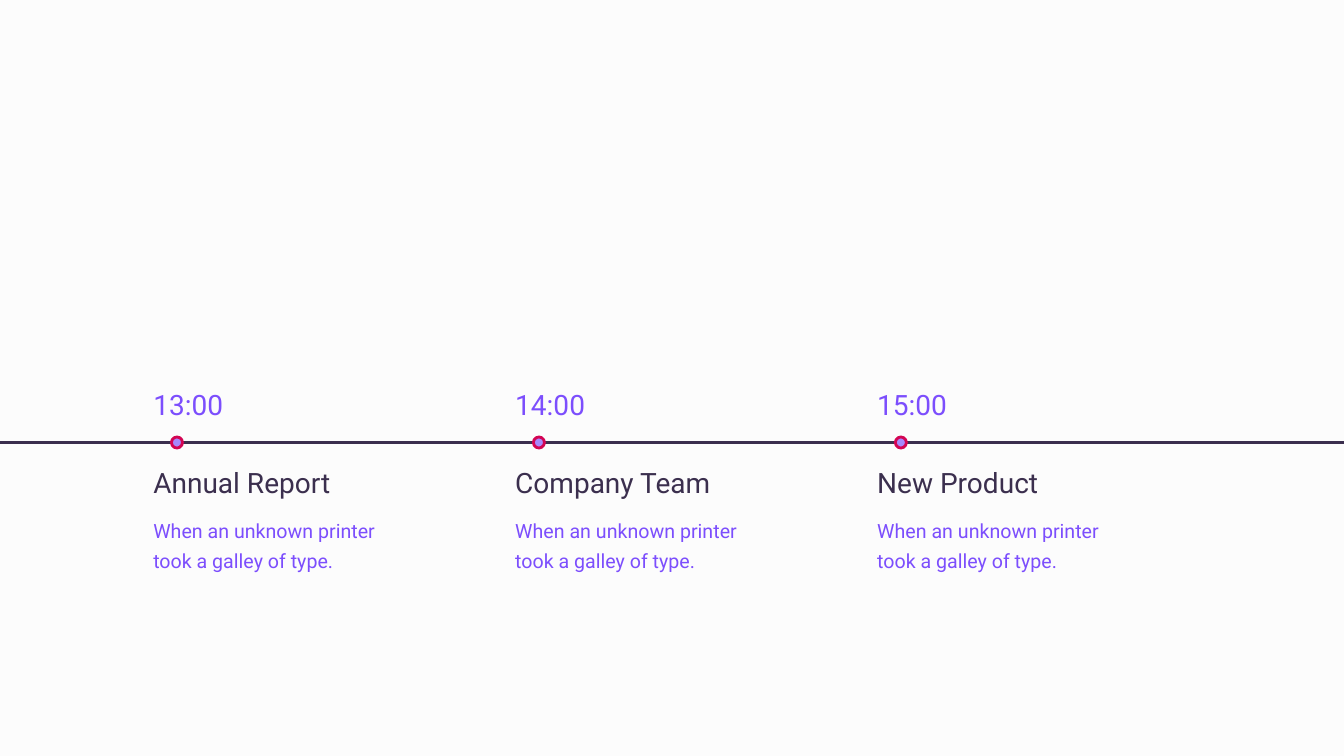
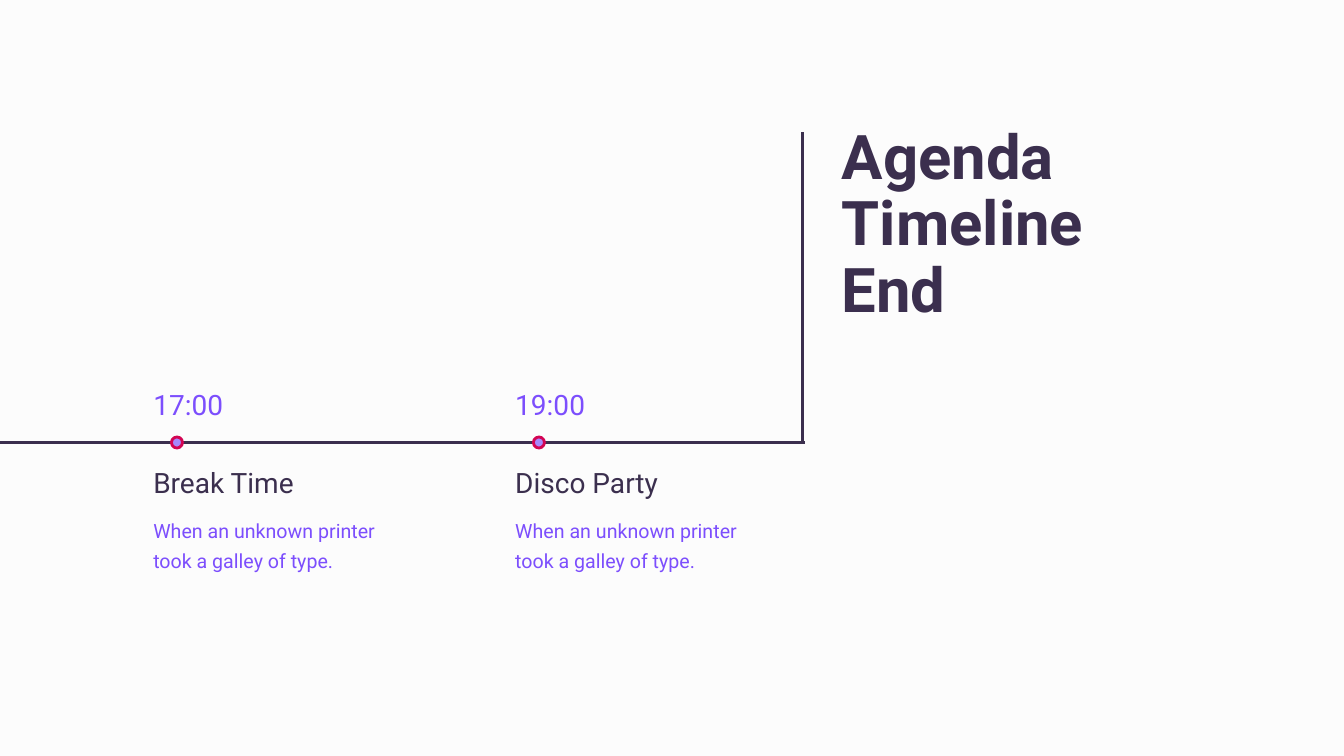
from lxml.etree import SubElement
from pptx import Presentation
from pptx.dml.color import RGBColor
from pptx.enum.shapes import MSO_CONNECTOR, MSO_SHAPE
from pptx.enum.text import MSO_AUTO_SIZE
from pptx.oxml.ns import qn
from pptx.util import Inches, Pt

PAPER = RGBColor(0xFC, 0xFC, 0xFC)
INK = RGBColor(0x3B, 0x2F, 0x4E)
VIOLET = RGBColor(0x7C, 0x4E, 0xFD)
LILAC = RGBColor(0xA6, 0x88, 0xFC)
CRIMSON = RGBColor(0xD3, 0x05, 0x53)
FONT = "Roboto"

SLIDE_WIDTH = 13.33
FIRST_STOP, STOP_STEP = 1.47, 3.59
AXIS_Y = 4.39
DOT_SIZE = 0.11
DETAIL = "When an unknown printer took a galley of type."

# Each agenda: where its axis ends, its stops, its closing title and upright
AGENDAS = [
    (SLIDE_WIDTH,
     [("13:00", "Annual Report"), ("14:00", "Company Team"), ("15:00", "New Product")],
     []),
    (7.98,
     [("17:00", "Break Time"), ("19:00", "Disco Party")],
     ["Agenda", "Timeline", "End"]),
]


def add_text(shapes, left, top, width, height, lines):
    """Each line is (text, size, colour, bold, line spacing, space before)."""
    box = shapes.add_textbox(Inches(left), Inches(top), Inches(width), Inches(height))
    frame = box.text_frame
    frame.word_wrap = True
    frame.auto_size = MSO_AUTO_SIZE.SHAPE_TO_FIT_TEXT
    frame.margin_left = frame.margin_right = Inches(0.05)
    frame.margin_top = frame.margin_bottom = Inches(0.05)
    for index, (text, size, colour, bold, spacing, before) in enumerate(lines):
        paragraph = frame.add_paragraph() if index else frame.paragraphs[0]
        paragraph.line_spacing = spacing
        if before:
            paragraph.space_before = Pt(before)
        run = paragraph.add_run()
        run.text = text
        run.font.name = FONT
        run.font.size = Pt(size)
        run.font.bold = bold
        run.font.color.rgb = colour


def add_rule(slide, x1, y1, x2, y2):
    rule = slide.shapes.add_connector(
        MSO_CONNECTOR.STRAIGHT, Inches(x1), Inches(y1), Inches(x2), Inches(y2))
    rule.line.color.rgb = INK
    rule.line.width = Pt(2)
    SubElement(rule._element.spPr, qn("a:effectLst"))


prs = Presentation()
prs.slide_width = Inches(SLIDE_WIDTH)
prs.slide_height = Inches(7.5)

for axis_end, stops, title in AGENDAS:
    slide = prs.slides.add_slide(prs.slide_layouts[6])
    slide.background.fill.solid()
    slide.background.fill.fore_color.rgb = PAPER

    # Time axis
    add_rule(slide, axis_end, AXIS_Y, 0, AXIS_Y)

    # Closing title beside the upright
    if title:
        add_text(slide.shapes, 8.3, 1.2, 5.04, 2.12,
                 [(word, 44, INK, True, 0.9, 0) for word in title])
        add_rule(slide, 7.96, 1.31, 7.96, 4.4)

    # Stops along the axis
    for index, (time, topic) in enumerate(stops):
        left = FIRST_STOP + index * STOP_STEP
        stop = slide.shapes.add_group_shape().shapes
        add_text(stop, left, 4.67, 2.58, 1.04,
                 [(topic, 20, INK, False, Pt(17), 0),
                  (DETAIL, 14, VIOLET, False, 1.25, 10)])
        add_text(stop, left, 3.89, 2.02, 0.36,
                 [(time, 20, VIOLET, False, Pt(17), 0)])
        dot = stop.add_shape(
            MSO_SHAPE.OVAL, Inches(left + 0.23), Inches(AXIS_Y - DOT_SIZE / 2),
            Inches(DOT_SIZE), Inches(DOT_SIZE))
        dot.shadow.inherit = False
        dot.fill.solid()
        dot.fill.fore_color.rgb = LILAC
        dot.line.color.rgb = CRIMSON
        dot.line.width = Pt(2)

prs.save("out.pptx")
